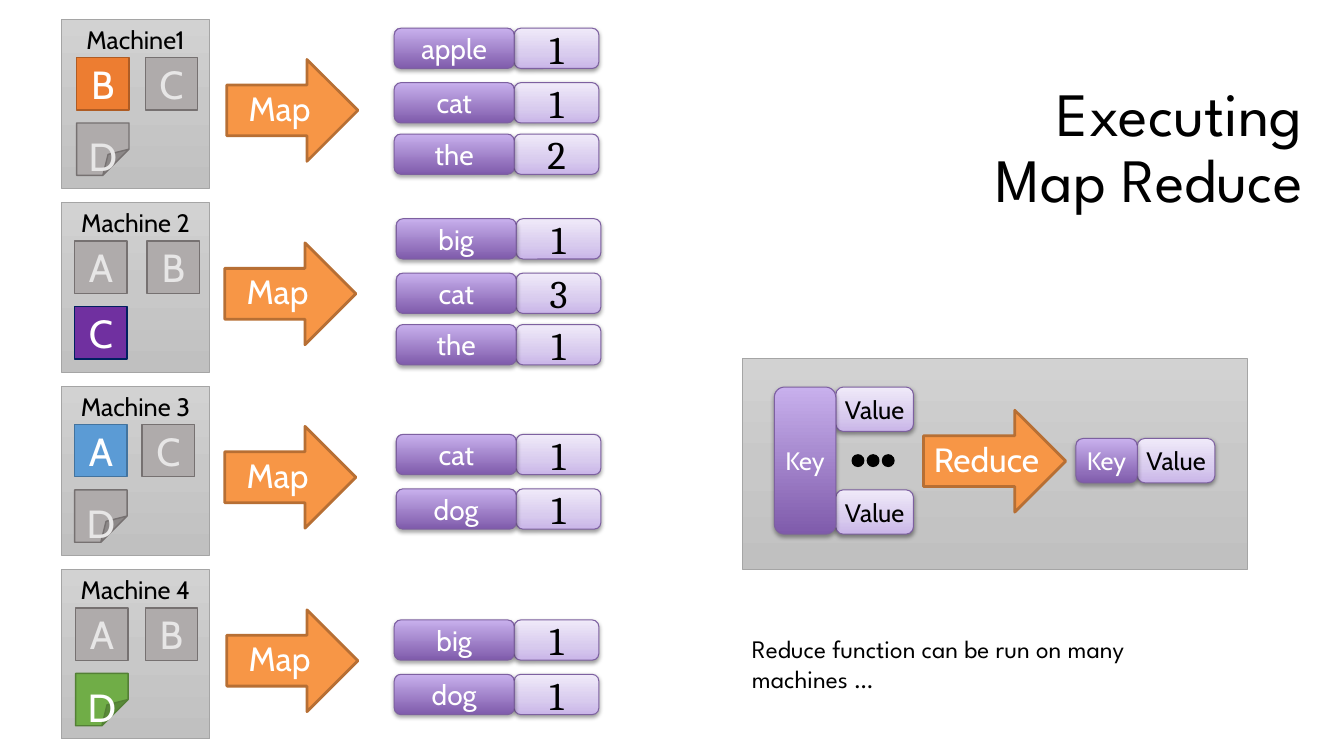
from pptx import Presentation
from pptx.util import Inches, Pt
from pptx.dml.color import RGBColor
from pptx.enum.shapes import MSO_SHAPE as Kind
from pptx.enum.text import MSO_ANCHOR as Anchor, PP_ALIGN as Align
from pptx.oxml import parse_xml
from pptx.oxml.ns import nsdecls, qn

# Gradients: angle (counter-clockwise), then (position, colour) stops
PANEL = (270, [(0, "D2D2D2"), (50, "C8C8C8"), (100, "C0C0C0")])
DARK = (90, [(0, "7F5BAB"), (100, "C8B0ED")])
LIGHT = (90, [(0, "C9B5E8"), (35, "D8CBEE"), (100, "F0EAF9")])

# Tile colours: fill, line, letter
GREY = ("AFABAB", "767171", "E7E6E6")
ORANGE = ("ED7D31", "AF5C24", "FFFFFF")
PURPLE = ("7030A0", "002060", "FFFFFF")
BLUE = ("5B9BD5", "43739E", "FFFFFF")
GREEN = ("70AD47", "538035", "FFFFFF")

# Name, tile lefts, tiles, arrow left, pair left, pair tops, pairs
MACHINES = [
    ("Machine1", (0.15, 0.83), [("B", ORANGE), ("C", GREY), ("D", GREY)],
     1.64, 3.3, (0.09, 0.63, 1.14), [("apple", 1), ("cat", 1), ("the", 2)]),
    ("Machine 2", (0.13, 0.85), [("A", GREY), ("B", GREY), ("C", PURPLE)],
     1.62, 3.32, (0.16, 0.7, 1.21), [("big", 1), ("cat", 3), ("the", 1)]),
    ("Machine 3", (0.13, 0.8), [("A", BLUE), ("C", GREY), ("D", GREY)],
     1.62, 3.32, (0.48, 1.02), [("cat", 1), ("dog", 1)]),
    ("Machine 4", (0.14, 0.83), [("A", GREY), ("B", GREY), ("D", GREEN)],
     1.64, 3.3, (0.5, 1.04), [("big", 1), ("dog", 1)]),
]


def rgb(code):
    return RGBColor.from_string(code)


def shade(shape, angle, stops):
    """Fill the shape with a linear gradient."""
    shape.fill.gradient()
    shape.fill.gradient_angle = angle
    stack = shape._element.spPr.find(qn("a:gradFill")).find(qn("a:gsLst"))
    for stop in list(stack):
        stack.remove(stop)
    for pos, code in stops:
        stack.append(parse_xml(
            f'<a:gs {nsdecls("a")} pos="{pos * 1000}">'
            f'<a:srgbClr val="{code}"/></a:gs>'))


def cast(shape, alpha, dist):
    """Drop a soft shadow straight below the shape."""
    shape._element.spPr.find(qn("a:effectLst")).append(parse_xml(
        f'<a:outerShdw {nsdecls("a")} blurRad="{Pt(3.1)}" dist="{Pt(dist)}" '
        f'dir="5400000" rotWithShape="0"><a:srgbClr val="000000">'
        f'<a:alpha val="{alpha * 1000}"/></a:srgbClr></a:outerShdw>'))


def crease(shape):
    """Fold the corner over half of the shape."""
    geom = shape._element.spPr.find(qn("a:prstGeom"))
    geom.find(qn("a:avLst")).append(parse_xml(
        f'<a:gd {nsdecls("a")} name="adj" fmla="val 50000"/>'))


def write(shape, text, size, color="000000", font="Cabin",
          align=Align.CENTER, anchor=Anchor.MIDDLE, inset=None):
    frame = shape.text_frame
    frame.word_wrap = True
    frame.vertical_anchor = anchor
    if inset:
        (frame.margin_left, frame.margin_top,
         frame.margin_right, frame.margin_bottom) = map(Inches, inset)
    frame.text = text
    para = frame.paragraphs[0]
    para.alignment = align
    for run in para.runs:
        run.font.size = Pt(size)
        run.font.name = font
        run.font.color.rgb = rgb(color)
    return para


def draw(shapes, kind, box, fill, line, width):
    """Add a preset shape; fill is a colour or a gradient."""
    shape = shapes.add_shape(kind, *map(Inches, box))
    shape.shadow.inherit = False
    if isinstance(fill, str):
        shape.fill.solid()
        shape.fill.fore_color.rgb = rgb(fill)
    else:
        shade(shape, *fill)
    shape.line.color.rgb = rgb(line)
    shape.line.width = Pt(width)
    return shape


def panel(shapes, box):
    return draw(shapes, Kind.RECTANGLE, box, PANEL, "A5A5A5", 0.5)


def arrow(shapes, box, text, inset):
    shape = draw(shapes, Kind.RIGHT_ARROW, box, "F79646", "B76F34", 2)
    write(shape, text, 24, "FFFFFF", inset=inset)


def tile(shapes, left, top, letter, colors):
    fill, line, ink = colors
    fold = letter == "D"
    kind = Kind.FOLDED_CORNER if fold else Kind.RECTANGLE
    shape = draw(shapes, kind, (left, top, 0.52, 0.52), fill, line, 1)
    if fold:
        crease(shape)
    write(shape, letter, 28, ink, inset=(0.1, 0.4, 0.1, 0) if fold else None)


def pill(shapes, box, text, size, dark=False, font="Cabin"):
    """Add a key (dark) or value (light) box."""
    shape = draw(shapes, Kind.ROUNDED_RECTANGLE, box,
                 DARK if dark else LIGHT, "7D60A0", 0.75)
    cast(shape, *((35, 1.8) if dark else (38, 1.6)))
    write(shape, text, size, "FFFFFF" if dark else "000000", font,
          inset=(0, 0.05, 0, 0.05))


def machine(shapes, x, y, name, lefts, tiles, tip, start, tops, pairs):
    write(panel(shapes, (x, y, 1.47, 1.68)), name, 18, anchor=Anchor.TOP)
    for i, (letter, colors) in enumerate(tiles):
        row, col = divmod(i, 2)
        tile(shapes, x + lefts[col], y + 0.38 + 0.65 * row, letter, colors)
    arrow(shapes, (x + tip, y + 0.4, 1.3, 1.01), "Map", (0.1, 0, 0.1, 0.05))
    for top, (key, count) in zip(tops, pairs):
        left = x + start
        pill(shapes, (left + 1.19, y + top, 0.84, 0.4), str(count), 28,
             font="Cambria")
        pill(shapes, (left, y + top, 1.19, 0.4), key, 20, dark=True)


def reduce(shapes, x, y):
    """Panel that folds many values of a key into one."""
    panel(shapes, (x, y, 5.01, 2.09))
    arrow(shapes, (x + 1.8, y + 0.51, 1.41, 1.01), "Reduce",
          (0.09, 0, 0, 0.05))
    many = shapes.add_group_shape().shapes
    for top in (0.28, 1.3):
        pill(many, (x + 0.93, y + top, 0.77, 0.44), "Value", 18)
    pill(many, (x + 0.32, y + 0.28, 0.61, 1.46), "Key", 18, dark=True)
    for i in range(3):
        draw(many, Kind.OVAL, (x + 1.1 + 0.15 * i, y + 0.96, 0.1, 0.1),
             "000000", "000000", 2)
    one = shapes.add_group_shape().shapes
    pill(one, (x + 3.92, y + 0.79, 0.77, 0.44), "Value", 18)
    pill(one, (x + 3.31, y + 0.79, 0.61, 0.44), "Key", 18, dark=True)


def label(shapes, box, text, size, align, anchor):
    shape = shapes.add_textbox(*map(Inches, box))
    return write(shape, text, size, font="League Spartan", align=align,
                 anchor=anchor)


def main():
    deck = Presentation()
    deck.slide_width, deck.slide_height = Inches(13.33), Inches(7.5)
    shapes = deck.slides.add_slide(deck.slide_layouts[6]).shapes
    title = label(shapes, (9.46, 0.43, 3.56, 2.11), "Executing Map Reduce",
                  44, Align.RIGHT, Anchor.MIDDLE)
    title.line_spacing = 0.9
    for i, parts in enumerate(MACHINES):
        machine(shapes, 0.61, 0.19 + 1.82 * i, *parts)
    reduce(shapes, 7.36, 3.56)
    label(shapes, (7.36, 6.23, 4.9, 0.71),
          "Reduce function can be run on many\vmachines …",
          18, Align.LEFT, Anchor.TOP)
    deck.save("out.pptx")


if __name__ == "__main__":
    main()
